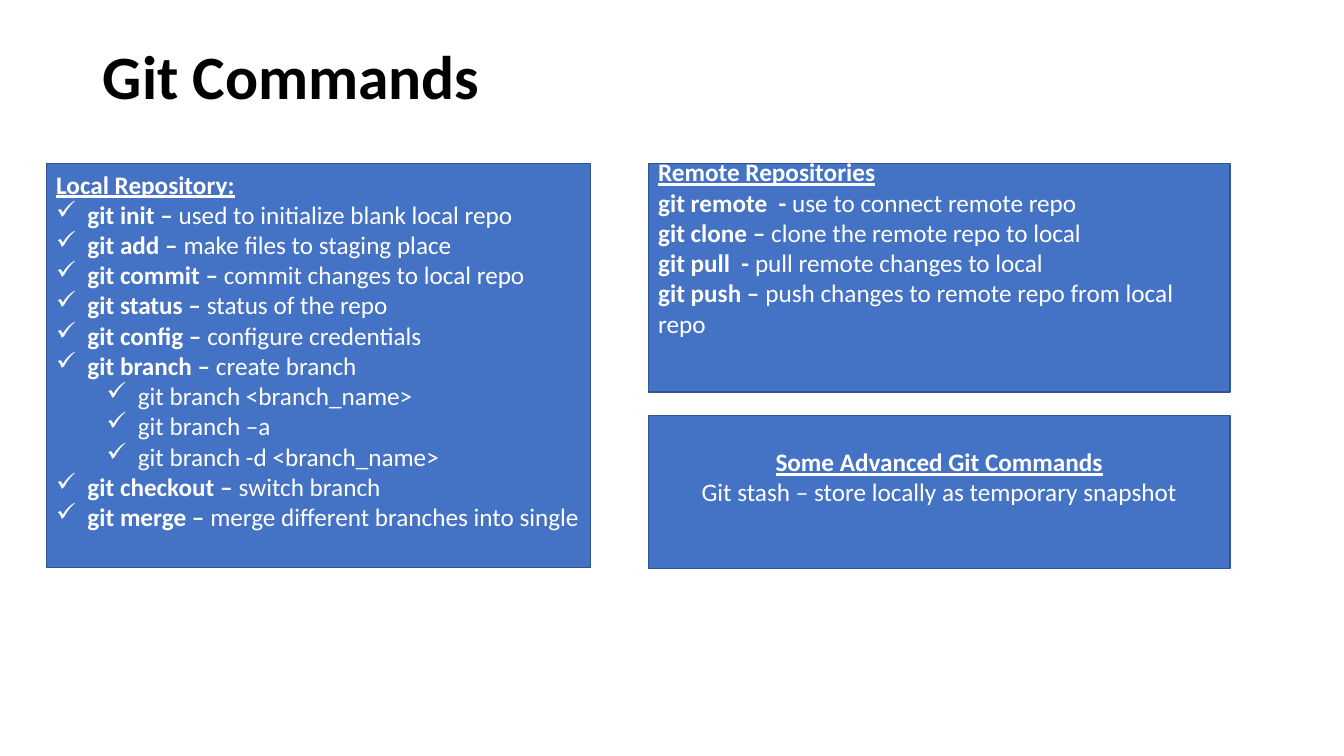
from pptx import Presentation
from pptx.dml.color import RGBColor
from pptx.enum.shapes import MSO_SHAPE as Shape
from pptx.enum.text import MSO_ANCHOR as Anchor, MSO_AUTO_SIZE as AutoSize, PP_ALIGN as Align
from pptx.oxml.ns import qn
from pptx.util import Inches, Pt
from lxml.etree import SubElement

COLORS = {"text": "FFFFFF", "title": "000000", "panel": "4472C4", "border": "325491"}
TITLE = "Git Commands"

# Each line is (bold command, plain description, bullet level or None)
PANELS = [
    {
        "box": (0.46, 1.62, 5.4, 4.01), "bottom_inset": 0.35, "align": Align.LEFT,
        "heading": "Local Repository:",
        "lines": [
            ("git init – ", "used to initialize blank local repo", 0),
            ("git add – ", "make files to staging place", 0),
            ("git commit – ", "commit changes to local repo", 0),
            ("git status – ", "status of the repo", 0),
            ("git config – ", "configure credentials", 0),
            ("git branch – ", "create branch", 0),
            ("", "git branch <branch_name>", 1),
            ("", "git branch –a", 1),
            ("", "git branch -d <branch_name>", 1),
            ("git checkout – ", "switch branch", 0),
            ("git merge – ", "merge different branches into single", 0),
        ],
    },
    {
        "box": (6.43, 1.62, 5.77, 2.27), "bottom_inset": 0.65, "align": Align.LEFT,
        "heading": "Remote Repositories",
        "lines": [
            ("git remote  - ", "use to connect remote repo", None),
            ("git clone – ", "clone the remote repo to local", None),
            ("git pull  - ", "pull remote changes to local", None),
            ("git push – ", "push changes to remote repo from local repo", None),
        ],
    },
    {
        "box": (6.43, 4.12, 5.77, 1.52), "bottom_inset": 0.35, "align": Align.CENTER,
        "heading": "Some Advanced Git Commands",
        "lines": [("", "Git stash – store locally as temporary snapshot", None)],
    },
]


def add_run(paragraph, text, color="text", **formats):
    run = paragraph.add_run()
    run.text = text
    values = {"name": "Calibri", "size": Pt(18), "bold": False, "underline": False} | formats
    for name, value in values.items():
        setattr(run.font, name, value)
    run.font.color.rgb = RGBColor.from_string(COLORS[color])


def add_check_mark(paragraph, level):
    paragraph.level = level
    properties = paragraph._p.get_or_add_pPr()
    properties.set("marL", str(Inches(0.31 + 0.5 * level)))
    properties.set("indent", str(Inches(-0.31)))
    SubElement(properties, qn("a:buChar")).set("char", "✓")


def set_frame(frame, bottom_inset):
    formats = {"word_wrap": True, "auto_size": AutoSize.NONE,
               "vertical_anchor": Anchor.MIDDLE, "margin_bottom": Inches(bottom_inset)}
    for name, value in formats.items():
        setattr(frame, name, value)


def add_panel(slide, panel):
    shape = slide.shapes.add_shape(Shape.RECTANGLE, *map(Inches, panel["box"]))
    shape.shadow.inherit = False
    shape.fill.solid()
    shape.fill.fore_color.rgb = RGBColor.from_string(COLORS["panel"])
    shape.line.color.rgb = RGBColor.from_string(COLORS["border"])
    shape.line.width = Pt(1)
    frame = shape.text_frame
    set_frame(frame, panel["bottom_inset"])
    heading = frame.paragraphs[0]
    heading.alignment = panel["align"]
    add_run(heading, panel["heading"], bold=True, underline=True)
    for command, description, level in panel["lines"]:
        paragraph = frame.add_paragraph()
        paragraph.alignment = panel["align"]
        if level is not None:
            add_check_mark(paragraph, level)
        if command:
            add_run(paragraph, command, bold=True)
        add_run(paragraph, description)


def add_title(slide):
    title = slide.shapes.title
    title.left, title.top, title.width, title.height = map(Inches, (0.92, 0.4, 11.5, 1.45))
    set_frame(title.text_frame, 0.72)
    paragraph = title.text_frame.paragraphs[0]
    paragraph.alignment = Align.LEFT
    paragraph.line_spacing = 0.9
    add_run(paragraph, TITLE, "title", size=Pt(44), bold=True)


def main():
    presentation = Presentation()
    presentation.slide_width, presentation.slide_height = Inches(13.33), Inches(7.5)
    slide = presentation.slides.add_slide(presentation.slide_layouts[5])
    add_title(slide)
    for panel in PANELS:
        add_panel(slide, panel)
    presentation.save("out.pptx")


if __name__ == "__main__":
    main()
